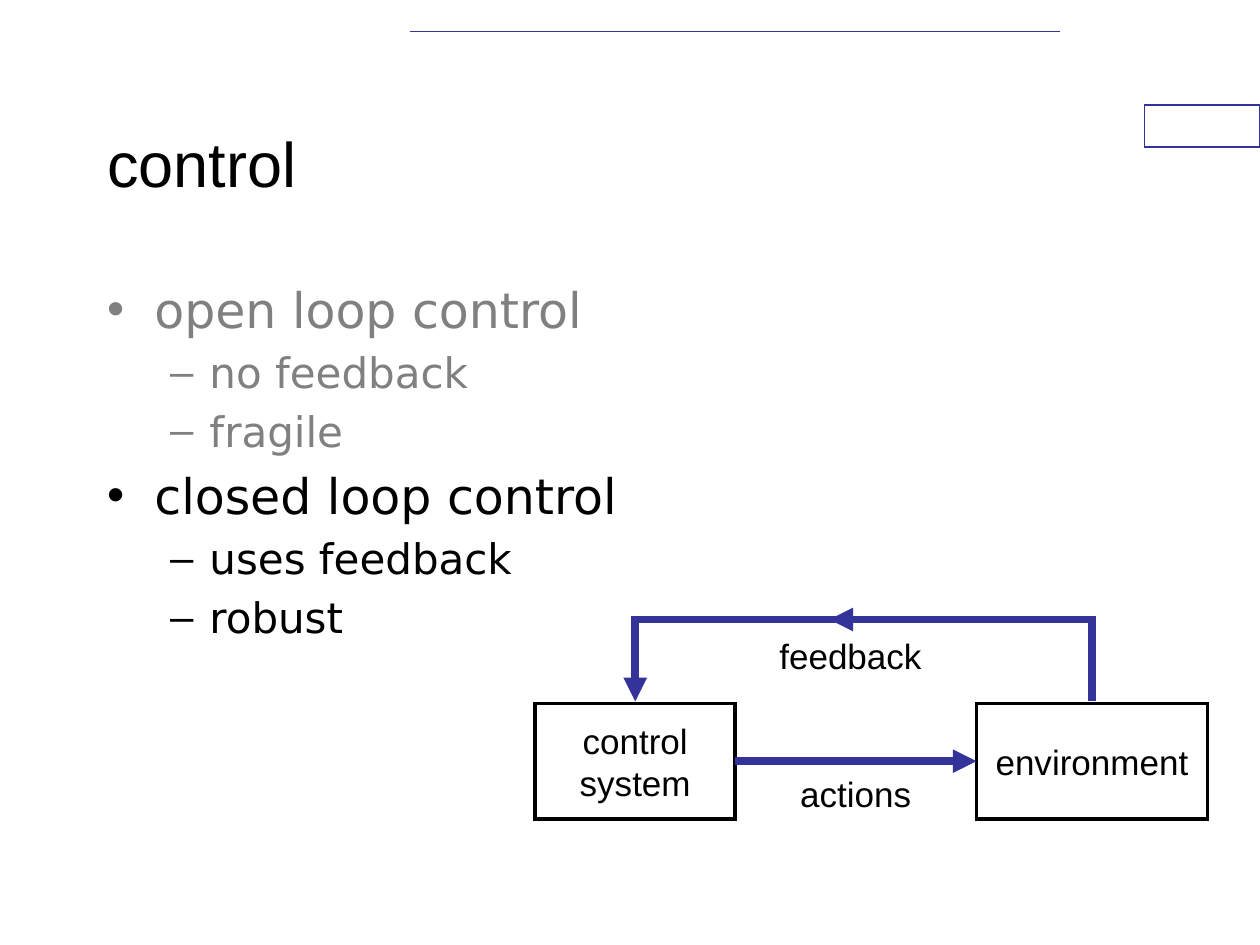
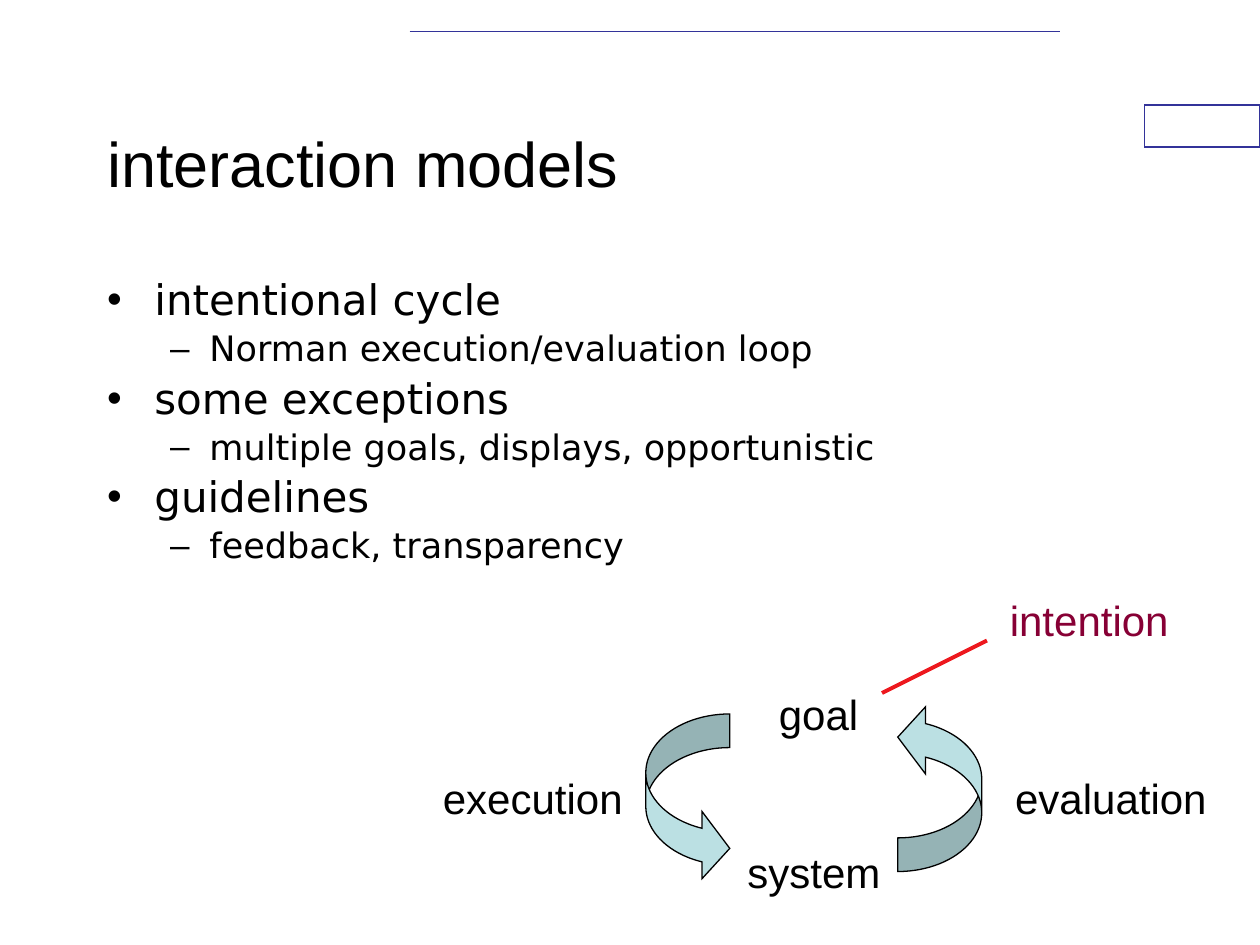
from dataclasses import dataclass

from lxml import etree
from pptx import Presentation
from pptx import util as u
from pptx.dml.color import RGBColor
from pptx.enum import shapes, text
from pptx.oxml import ns


@dataclass(frozen=True)
class Theme:
    heading_font: str = "Arial"
    body_font: str = "DejaVu Sans"
    black: str = "000000"
    white: str = "FFFFFF"
    navy: str = "333399"
    gray: str = "808080"
    aqua: str = "BBE0E3"
    maroon: str = "870035"
    red: str = "ED181E"
    title_size: int = 36
    large: int = 28
    medium: int = 24
    small: int = 20
    hairline: float = 0.75
    rule_line: float = 1
    box_line: float = 2.25
    flow_line: float = 4.5


THEME = Theme()
COLUMNS, ROWS = 120, 90


def write(paragraph, words, size, font=THEME.heading_font, color=THEME.black, align=None):
    paragraph.text = words
    paragraph.alignment = align
    paragraph.font.size = u.Pt(size)
    paragraph.font.name = font
    paragraph.font.color.rgb = RGBColor.from_string(color)


def stroke(line, color, weight, arrow=False):
    """Format a line with sharp corners and, if asked, an arrowhead."""
    line.color.rgb = RGBColor.from_string(color)
    line.width = u.Pt(weight)
    outline = line._get_or_add_ln()
    etree.SubElement(outline, ns.qn("a:miter"), lim="800000")
    if arrow:
        etree.SubElement(outline, ns.qn("a:tailEnd"), type="triangle")


class SlideBuilder:
    """Draws on the current slide; all lengths are grid columns and rows."""

    def __init__(self, presentation, theme):
        self.presentation = presentation
        self.theme = theme
        self.slide = None

    def x(self, columns):
        return round(self.presentation.slide_width * columns / COLUMNS)

    def y(self, rows):
        return round(self.presentation.slide_height * rows / ROWS)

    def area(self, left, top, width, height):
        return self.x(left), self.y(top), self.x(width), self.y(height)

    def place(self, shape, area):
        shape.left, shape.top, shape.width, shape.height = self.area(*area)

    def new_slide(self, title):
        layout = self.presentation.slide_layouts[1]
        self.slide = self.presentation.slides.add_slide(layout)
        self.box((109, 10, 11, 4), fill=self.theme.white,
                 line=self.theme.navy, weight=self.theme.hairline)
        self.line((39, 3), (101, 3), self.theme.navy, self.theme.rule_line)
        heading = self.slide.shapes.title
        self.place(heading, (9, 8, 90, 15))
        heading.text_frame.vertical_anchor = text.MSO_ANCHOR.MIDDLE
        write(heading.text_frame.paragraphs[0], title, self.theme.title_size,
              align=text.PP_ALIGN.LEFT)

    def bullets(self, area, items, sizes, spacing=None):
        """Fill the body with (level, words, color) items, sized by level."""
        body = self.slide.placeholders[1]
        self.place(body, area)
        frame = body.text_frame
        frame.auto_size = text.MSO_AUTO_SIZE.NONE
        for index, (level, words, color) in enumerate(items):
            paragraph = frame.add_paragraph() if index else frame.paragraphs[0]
            paragraph.level = level
            paragraph.line_spacing = spacing
            if index == 0:
                paragraph.space_before = u.Pt(0)
            write(paragraph, words, sizes[level], self.theme.body_font, color)

    def box(self, area, words="", kind=shapes.MSO_SHAPE.RECTANGLE, fill=None,
            line=THEME.black, weight=THEME.box_line):
        shape = self.slide.shapes.add_shape(kind, *self.area(*area))
        shape.shadow.inherit = False
        if fill:
            shape.fill.solid()
            shape.fill.fore_color.rgb = RGBColor.from_string(fill)
        else:
            shape.fill.background()
        stroke(shape.line, line, weight)
        if words:
            frame = shape.text_frame
            frame.word_wrap = False
            frame.vertical_anchor = text.MSO_ANCHOR.MIDDLE
            write(frame.paragraphs[0], words, self.theme.small,
                  align=text.PP_ALIGN.CENTER)
        return shape

    def curved_arrow(self, left, top, turned=0):
        arrow = self.box((left, top, 8, 16), kind=shapes.MSO_SHAPE.CURVED_RIGHT_ARROW,
                         fill=self.theme.aqua, weight=self.theme.hairline)
        for index, value in enumerate((0.4, 0.8, 0.33)):
            arrow.adjustments[index] = value
        arrow.rotation = turned

    def label(self, area, words, size, **style):
        frame = self.slide.shapes.add_textbox(*self.area(*area)).text_frame
        frame.word_wrap = False
        frame.auto_size = text.MSO_AUTO_SIZE.SHAPE_TO_FIT_TEXT
        write(frame.paragraphs[0], words, size, **style)

    def line(self, start, end, color, weight, arrow=False,
             kind=shapes.MSO_CONNECTOR.STRAIGHT):
        connector = self.slide.shapes.add_connector(
            kind, self.x(start[0]), self.y(start[1]), self.x(end[0]), self.y(end[1]))
        stroke(connector.line, color, weight, arrow)
        etree.SubElement(connector.element.spPr, ns.qn("a:effectLst"))
        return connector

    def flow(self, start, end, **options):
        return self.line(start, end, self.theme.navy, self.theme.flow_line,
                         arrow=True, **options)

    def elbow(self, start, end, vertical_first=False):
        """Arrow with one corner; a quarter turn makes it leave vertically."""
        if vertical_first:
            middle_x, middle_y = (start[0] + end[0]) / 2, (start[1] + end[1]) / 2
            start, end = [(middle_x + py - middle_y, middle_y - px + middle_x)
                          for px, py in (start, end)]
        connector = self.flow(start, end, kind=shapes.MSO_CONNECTOR.ELBOW)
        properties = connector.element.spPr
        properties.find(ns.qn("a:prstGeom")).set("prst", "bentConnector2")
        if vertical_first:
            properties.find(ns.qn("a:xfrm")).set("rot", str(90 * 60000))


def control_slide(builder):
    theme = builder.theme
    builder.new_slide("control")
    builder.bullets((9, 26, 102, 54), [
        (0, "open loop control", theme.gray),
        (1, "no feedback", theme.gray),
        (1, "fragile", theme.gray),
        (0, "closed loop control", theme.black),
        (1, "uses feedback", theme.black),
        (1, "robust", theme.black),
    ], (theme.large, theme.medium))

    control_system = builder.box((51, 67, 19, 11), "control\vsystem")
    environment = builder.box((93, 67, 22, 11), "environment")
    actions = builder.flow((70, 72.5), (93, 72.5))
    actions.begin_connect(control_system, 3)
    actions.end_connect(environment, 1)
    centered = text.PP_ALIGN.CENTER
    builder.label((75, 73, 13, 5.2), "actions", theme.small, align=centered)
    builder.label((73, 59.8, 16, 5.2), "feedback", theme.small, align=centered)
    builder.elbow((104, 66.8), (79, 59), vertical_first=True)
    builder.elbow((81, 59), (60.5, 66.8))


def interaction_slide(builder):
    theme = builder.theme
    builder.new_slide("interaction models")
    topics = {
        "intentional cycle": "Norman execution/evaluation loop",
        "some exceptions": "multiple goals, displays, opportunistic",
        "guidelines": "feedback, transparency",
    }
    items = [(level, words, theme.black)
             for topic in topics.items() for level, words in enumerate(topic)]
    builder.bullets((9, 26, 103, 35), items, (theme.medium, theme.small), spacing=0.9)

    for words, left, top, width in (("system", 70, 80, 15.5), ("evaluation", 95.5, 73, 21),
                                    ("execution", 41, 73, 20), ("goal", 73, 65, 10.2)):
        builder.label((left, top, width, 6), words, theme.medium)
    builder.curved_arrow(61.5, 68)
    builder.curved_arrow(85.5, 67, turned=180)
    builder.label((95, 56, 18, 6), "intention", theme.medium, color=theme.maroon)
    builder.line((94, 61), (84, 66), theme.red, theme.box_line)


def main():
    presentation = Presentation()
    presentation.slide_width, presentation.slide_height = u.Inches(10), u.Inches(7.5)
    builder = SlideBuilder(presentation, THEME)
    control_slide(builder)
    interaction_slide(builder)
    presentation.save("out.pptx")


if __name__ == "__main__":
    main()
